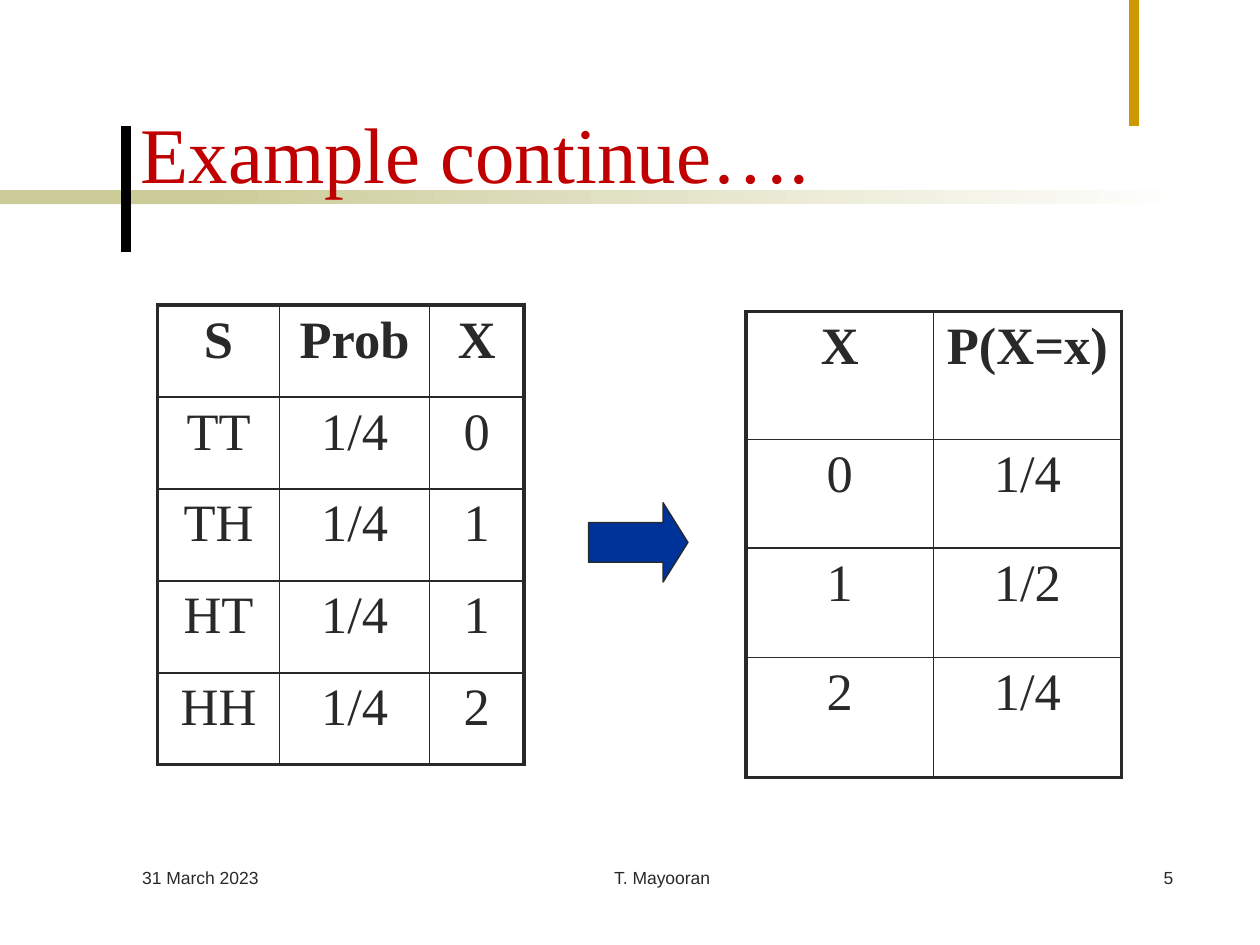
"""Build the slide that turns a sample space into a probability distribution."""
import pptx
import pptx.util
import pptx.dml.color
import pptx.enum.shapes
import pptx.enum.text
import pptx.oxml
import pptx.oxml.ns

Inches, Pt = pptx.util.Inches, pptx.util.Pt
SHAPE = pptx.enum.shapes.MSO_SHAPE
ALIGN = pptx.enum.text.PP_ALIGN
ANCHOR = pptx.enum.text.MSO_ANCHOR

W, H = 10, 7.5
SERIF, SANS = "Times New Roman", "Arial"
C = {"ink": "292929", "title": "C00000", "sand": "CCCC99", "white": "FFFFFF",
     "black": "000000", "gold": "CC9900", "arrow": "003399"}
THICK, THIN = 2.25, 1

TITLE = "Example continue…."
TABLES = [
    {"at": (1.25, 2.42), "cols": [0.97, 1.19, 0.75], "heights": [0.73] * 5,
     "rows": [("S", "Prob", "X"), ("TT", "1/4", "0"), ("TH", "1/4", "1"),
              ("HT", "1/4", "1"), ("HH", "1/4", "2")]},
    {"at": (5.92, 2.47), "cols": [1.49] * 2, "heights": [1.02, 0.86, 0.87, 0.95],
     "rows": [("X", "P(X=x)"), ("0", "1/4"), ("1", "1/2"), ("2", "1/4")]},
]
FOOTER = [("31 March 2023", 1.03, 2.08, ALIGN.LEFT),
          ("T. Mayooran", 3.67, 3.17, ALIGN.CENTER),
          ("5", 7.33, 2.08, ALIGN.RIGHT)]
BAND_TOP, BAND_H, BAND_SPLIT, BAND_END = 1.51, 0.11, 2.33, 9.5
BRACKET_W, BRACKET_H = 0.16, 1.17
BRACKETS = [(1.08, 0.61, -BRACKET_W, "black"), (9.04, 0.3, BRACKET_W, "gold")]


def rgb(name):
    return pptx.dml.color.RGBColor.from_string(C[name])


def write(tf, text, size=10, font=SANS, color="ink", bold=False, align=ALIGN.LEFT):
    p = tf.paragraphs[0]
    p.alignment = align
    r = p.add_run()
    r.text = text
    r.font.size, r.font.name, r.font.bold = Pt(size), font, bold
    r.font.color.rgb = rgb(color)
    return p


def add_text(s, text, at, anchor=ANCHOR.TOP, **fmt):
    tf = s.shapes.add_textbox(*map(Inches, at)).text_frame
    tf.word_wrap, tf.vertical_anchor = True, anchor
    write(tf, text, **fmt)


def add_shape(s, kind, at, color=None):
    sp = s.shapes.add_shape(kind, *map(Inches, at))
    sp.shadow.inherit = False
    sp.line.fill.background()
    if color:
        sp.fill.solid()
        sp.fill.fore_color.rgb = rgb(color)
    return sp


def add_bracket(s, x, y, depth, color):
    fb = s.shapes.build_freeform(x, y, scale=Inches(1))
    fb.add_line_segments([(x + depth, y), (x + depth, y + BRACKET_H),
                          (x, y + BRACKET_H)], close=False)
    sp = fb.convert_to_shape()
    sp.shadow.inherit = False
    sp.fill.background()
    sp.line.color.rgb, sp.line.width = rgb(color), Pt(6)


def set_borders(cell, widths):
    pr = cell._tc.get_or_add_tcPr()
    ns = pptx.oxml.ns.nsdecls("a")
    for i, (side, width) in enumerate(widths.items()):
        pr.insert(i, pptx.oxml.parse_xml(
            f'<a:ln{side} {ns} w="{int(Pt(width))}"><a:solidFill>'
            f'<a:srgbClr val="{C["ink"]}"/></a:solidFill></a:ln{side}>'))


def space_before(p, percent):
    ns = pptx.oxml.ns.nsdecls("a")
    p._p.get_or_add_pPr().insert(0, pptx.oxml.parse_xml(
        f'<a:spcBef {ns}><a:spcPct val="{percent * 1000}"/></a:spcBef>'))


def add_table(s, at, cols, heights, rows):
    last_row, last_col = len(rows) - 1, len(cols) - 1
    size = (sum(cols), sum(heights))
    table = s.shapes.add_table(len(rows), len(cols), *map(Inches, at + size)).table
    table.first_row = table.horz_banding = False
    for col, width in zip(table.columns, cols):
        col.width = Inches(width)
    for i, (row, height) in enumerate(zip(table.rows, heights)):
        row.height = Inches(height)
        for j, cell in enumerate(row.cells):
            cell.fill.background()
            p = write(cell.text_frame, rows[i][j], size=30, font=SERIF,
                      bold=i == 0, align=ALIGN.CENTER)
            space_before(p, 20)
            edges = {"L": j == 0, "R": j == last_col, "T": i == 0, "B": i == last_row}
            set_borders(cell, {k: THICK if outer else THIN for k, outer in edges.items()})


def main():
    prs = pptx.Presentation()
    prs.slide_width, prs.slide_height = Inches(W), Inches(H)
    s = prs.slides.add_slide(prs.slide_layouts[6])

    add_shape(s, SHAPE.RECTANGLE, (0, BAND_TOP, BAND_SPLIT, BAND_H), "sand")
    fade_w = BAND_END - BAND_SPLIT + 0.75
    fade = add_shape(s, SHAPE.RECTANGLE, (BAND_END - fade_w + 0.0, BAND_TOP, fade_w, BAND_H))
    fade.fill.gradient()
    fade.fill.gradient_angle = 0
    for stop, color, position in zip(fade.fill.gradient_stops, ("sand", "white"), (0, 1)):
        stop.color.rgb, stop.position = rgb(color), position

    for bracket in BRACKETS:
        add_bracket(s, *bracket)
    for table in TABLES:
        add_table(s, **table)

    arrow = add_shape(s, SHAPE.RIGHT_ARROW, (4.67, 3.99, 0.79, 0.63), "arrow")
    arrow.adjustments[0], arrow.adjustments[1] = 0.5, 0.313
    arrow.line.color.rgb, arrow.line.width = rgb("ink"), Pt(0.75)

    add_text(s, TITLE, (1.02, 0.08, 7.83, 1.55), anchor=ANCHOR.BOTTOM,
             size=45, font=SERIF, color="title")
    for text, left, width, align in FOOTER:
        add_text(s, text, (left, 6.83, width, 0.5), align=align)
    prs.save("out.pptx")


if __name__ == "__main__":
    main()
